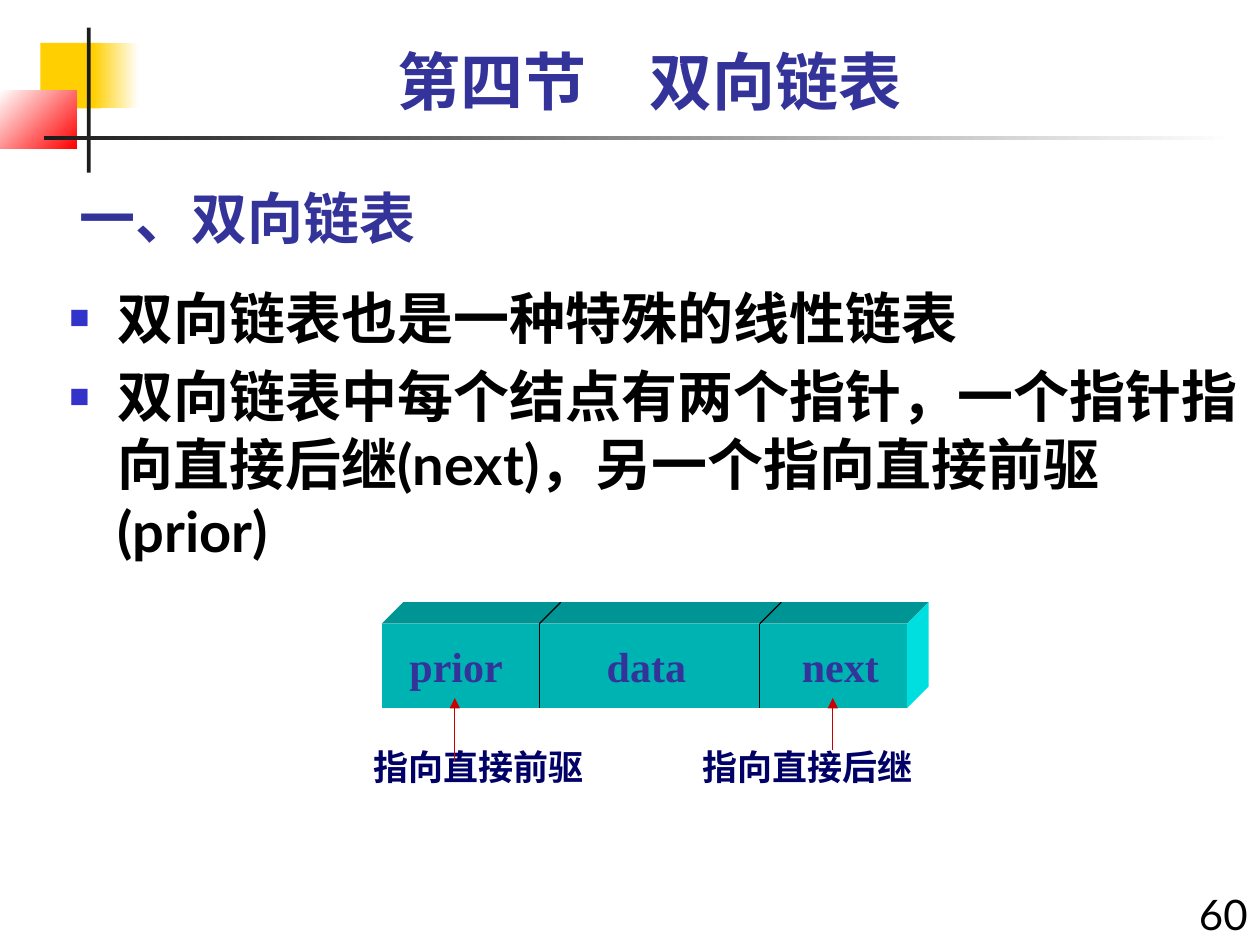
"""Build the slide that introduces the doubly linked list and its node."""
from dataclasses import dataclass

from lxml.etree import SubElement
from pptx import Presentation
from pptx.dml.color import RGBColor
from pptx.enum.shapes import MSO_CONNECTOR as Connector, MSO_SHAPE as Shape
from pptx.enum.text import MSO_ANCHOR as Anchor, MSO_AUTO_SIZE as AutoSize, PP_ALIGN as Align
from pptx.oxml.ns import qn
from pptx.util import Inches, Pt


@dataclass(frozen=True)
class Style:
    """Latin and East Asian typefaces, size, colour and weight of a text."""
    font: str
    east_asian: str
    size: int
    color: str
    bold: bool = True


@dataclass(frozen=True)
class Theme:
    """Colours and text styles of the slide."""
    yellow: str = "FFCF01"
    red: str = "FF0000"
    white: str = "FFFFFF"
    dark: str = "1C1C1C"
    bullet: str = "3333CC"
    front: str = "00B3B3"
    top: str = "009595"
    side: str = "00DFDF"
    divider: str = "000000"
    arrow: str = "C80000"
    header: Style = Style("Lato", "Lato", 36, "333399")
    title: Style = Style("Noto Sans CJK SC", "Noto Sans CJK SC", 32, "333399")
    body: Style = Style("Lato", "Lato", 32, "000000")
    number: Style = Style("Lato", "Lato", 24, "000000", False)
    field: Style = Style("Times New Roman", "Times New Roman", 24, "333399")
    caption: Style = Style("Times New Roman", "Noto Sans CJK SC", 20, "000066")


@dataclass(frozen=True)
class Block:
    """A decorative rectangle, graded when it has two colours."""
    left: float
    top: float
    width: float
    height: float
    colors: tuple[str, ...]
    angle: int = 0


@dataclass(frozen=True)
class Label:
    """A line of text in a box."""
    text: str
    left: float
    top: float
    width: float
    height: float
    style: Style
    align: Align = Align.CENTER


@dataclass(frozen=True)
class Line:
    """A straight line, optionally with an arrowhead at its end."""
    start: tuple[float, float]
    end: tuple[float, float]
    color: str
    arrow: bool = False


THEME = Theme()
BLOCKS = (
    Block(0.32, 0.34, 0.48, 0.52, (THEME.yellow,)),
    Block(0.74, 0.34, 0.36, 0.52, (THEME.yellow, THEME.white)),
    Block(0, 0.72, 0.61, 0.46, (THEME.white, THEME.red), 315),
    Block(0.69, 0.22, 0.03, 1.15, (THEME.dark,)),
    Block(0.35, 1.08, 9.45, 0.03, (THEME.dark, THEME.white)),
)
POINTS = (
    "双向链表也是一种特殊的线性链表",
    "双向链表中每个结点有两个指针，一个指针指向直接后继(next)，另一个指向直接前驱(prior)",
)
LEFT, TOP, RIGHT, BOTTOM, DEPTH = 3.03, 4.95, 7.2, 5.62, 0.17
DIVIDERS = (4.28, 6.03)
FIELDS = (("prior", 3.62), ("data", 5.13), ("next", 6.67))
CAPTIONS = (("指向直接前驱", 3.8), ("指向直接后继", 6.41))
ARROWS = ((3.61, 6.04), (6.61, 5.95))
ARROW_TIP = 5.54


def paint(shape, color: str) -> None:
    """Give a shape a plain fill without outline or shadow."""
    shape.shadow.inherit = False
    shape.fill.solid()
    shape.fill.fore_color.rgb = RGBColor.from_string(color)
    shape.line.fill.background()


def format_para(para, style: Style) -> None:
    """Apply a style to every run, East Asian text included."""
    for span in para.runs:
        span.font.name = style.font
        span.font.size = Pt(style.size)
        span.font.bold = style.bold
        span.font.color.rgb = RGBColor.from_string(style.color)
        latin = span.font._element.find(qn("a:latin"))
        latin.addnext(latin.makeelement(qn("a:ea"), {"typeface": style.east_asian}))


def place(shape, left: float, top: float, width: float, height: float) -> None:
    """Move and size a shape."""
    shape.left, shape.top = Inches(left), Inches(top)
    shape.width, shape.height = Inches(width), Inches(height)


def draw_block(page, block: Block) -> None:
    """Draw a decorative rectangle."""
    shape = page.shapes.add_shape(Shape.RECTANGLE, 0, 0, 0, 0)
    place(shape, block.left, block.top, block.width, block.height)
    paint(shape, block.colors[0])
    if len(block.colors) > 1:
        shape.fill.gradient()
        shape.fill.gradient_angle = block.angle
        for position, (stop, color) in enumerate(zip(shape.fill.gradient_stops, block.colors)):
            stop.position = position
            stop.color.rgb = RGBColor.from_string(color)


def draw_label(page, label: Label) -> None:
    """Draw a line of text."""
    box = page.shapes.add_textbox(0, 0, 0, 0)
    place(box, label.left, label.top, label.width, label.height)
    frame = box.text_frame
    frame.word_wrap = True
    frame.vertical_anchor = Anchor.MIDDLE
    frame.text = label.text
    frame.paragraphs[0].alignment = label.align
    format_para(frame.paragraphs[0], label.style)


def draw_line(page, line: Line) -> None:
    """Draw a divider or an arrow."""
    ends = [Inches(value) for value in (*line.start, *line.end)]
    connector = page.shapes.add_connector(Connector.STRAIGHT, *ends)
    connector.line.width = Pt(0.75)
    connector.line.color.rgb = RGBColor.from_string(line.color)
    properties = connector._element.spPr
    if line.arrow:
        SubElement(properties.find(qn("a:ln")), qn("a:tailEnd"), type="triangle")
    SubElement(properties, qn("a:effectLst"))


def draw_face(page, corners: list[tuple[float, float]], color: str) -> None:
    """Draw one face of the node's solid."""
    points = [(Inches(x), Inches(y)) for x, y in corners]
    builder = page.shapes.build_freeform(*points[0])
    builder.add_line_segments(points[1:], close=True)
    paint(builder.convert_to_shape(), color)


def draw_node(page) -> None:
    """Draw the node with its three fields, captions and arrows."""
    back_right, back_top = RIGHT + DEPTH, TOP - DEPTH
    draw_face(page, [(LEFT, TOP), (RIGHT, TOP), (RIGHT, BOTTOM), (LEFT, BOTTOM)], THEME.front)
    draw_face(page, [(LEFT, TOP), (LEFT + DEPTH, back_top), (back_right, back_top), (RIGHT, TOP)],
              THEME.top)
    draw_face(page, [(RIGHT, TOP), (back_right, back_top), (back_right, BOTTOM - DEPTH),
                     (RIGHT, BOTTOM)], THEME.side)
    for x in DIVIDERS:
        draw_line(page, Line((x, TOP), (x, BOTTOM), THEME.divider))
        draw_line(page, Line((x, TOP), (x + DEPTH, back_top), THEME.divider))
    for text, center in FIELDS:
        draw_label(page, Label(text, center - 0.55, TOP, 1.1, BOTTOM - TOP, THEME.field))
    for text, center in CAPTIONS:
        draw_label(page, Label(text, center - 1, 5.87, 2, 0.43, THEME.caption))
    for x, start in ARROWS:
        draw_line(page, Line((x, start), (x, ARROW_TIP), THEME.arrow, arrow=True))


def fill_title(title) -> None:
    """Write the section title."""
    place(title, 0.53, 1.29, 6.25, 0.75)
    frame = title.text_frame
    frame.text = "一、双向链表"
    frame.auto_size = AutoSize.NONE
    frame.vertical_anchor = Anchor.BOTTOM
    frame.paragraphs[0].alignment = Align.LEFT
    format_para(frame.paragraphs[0], THEME.title)


def fill_body(body) -> None:
    """Write the list with square bullets."""
    place(body, 0.45, 2.2, 9.58, 4.25)
    frame = body.text_frame
    frame.text = "\n".join(POINTS)
    frame.auto_size = AutoSize.NONE
    for index, para in enumerate(frame.paragraphs):
        para.space_before = Pt(6.4 if index else 0)
        properties = para._p.get_or_add_pPr()
        properties.set("marL", str(Inches(0.38)))
        properties.set("indent", str(Inches(-0.38)))
        SubElement(SubElement(properties, qn("a:buClr")), qn("a:srgbClr"), val=THEME.bullet)
        SubElement(properties, qn("a:buSzPct"), val="60000")
        SubElement(properties, qn("a:buChar"), char="■")
        format_para(para, THEME.body)


def main() -> None:
    """Build and save the deck."""
    deck = Presentation()
    deck.slide_width, deck.slide_height = Inches(10), Inches(7.5)
    page = deck.slides.add_slide(deck.slide_layouts[1])
    for block in BLOCKS:
        draw_block(page, block)
    fill_title(page.shapes.title)
    fill_body(page.placeholders[1])
    draw_label(page, Label("第四节　双向链表", 0.53, 0.29, 9.25, 0.7, THEME.header))
    draw_label(page, Label("60", 9.33, 7, 0.67, 0.5, THEME.number, Align.RIGHT))
    draw_node(page)
    deck.save("out.pptx")


if __name__ == "__main__":
    main()
